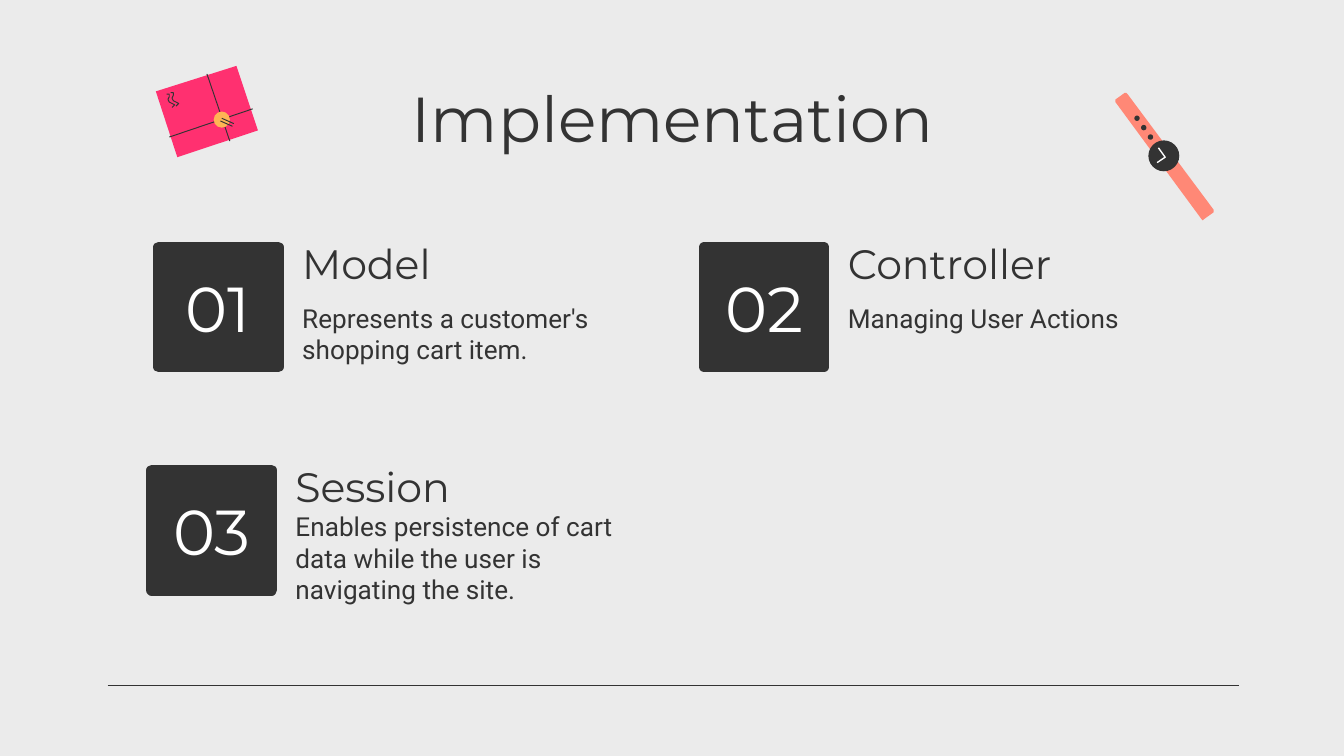
from dataclasses import dataclass

from pptx import Presentation
from pptx.dml.color import RGBColor
from pptx.enum.shapes import MSO_CONNECTOR, MSO_SHAPE
from pptx.enum.text import MSO_ANCHOR, MSO_AUTO_SIZE, PP_ALIGN
from pptx.oxml.ns import qn
from pptx.util import Inches, Pt

DARK, WHITE, BACKGROUND = "333333", "FFFFFF", "EBEBEB"
PINK, GOLD, CORAL = "FF3070", "FFB554", "FF8876"
HEADING_FONT, BODY_FONT = "Montserrat", "Roboto"
SQUARE_SIZE = 0.89
TEXT_OFFSET = 0.97
TEXT_WIDTH = 2.61

Point = tuple[float, float]


@dataclass
class Step:
    number: str
    heading: str
    description: str
    left: float
    top: float
    description_offset: float = 0.31


STEPS = [
    Step("01", "Model", "Represents a customer's shopping cart item.", 1.18, 1.84),
    Step("02", "Controller", "Managing User Actions", 5.24, 1.84),
    Step("03", "Session",
         "Enables persistence of cart data while the user is navigating the site.",
         1.13, 3.5, 0.2),
]


def color(hex_value: str) -> RGBColor:
    return RGBColor.from_string(hex_value)


def place(shape, left: float, top: float, width: float, height: float) -> None:
    shape.left, shape.top = Inches(left), Inches(top)
    shape.width, shape.height = Inches(width), Inches(height)


def write(shape, text: str, size: float, font_name: str, font_color: str = DARK,
          anchor=MSO_ANCHOR.TOP, alignment=PP_ALIGN.LEFT) -> None:
    text_frame = shape.text_frame
    text_frame.text = text
    text_frame.word_wrap = True
    text_frame.auto_size = MSO_AUTO_SIZE.NONE
    text_frame.vertical_anchor = anchor
    text_frame.margin_left = text_frame.margin_right = Inches(0.1)
    text_frame.margin_top = text_frame.margin_bottom = Inches(0.1)
    paragraph = text_frame.paragraphs[0]
    paragraph.alignment = alignment
    font = paragraph.runs[0].font
    font.size, font.name = Pt(size), font_name
    font.color.rgb = color(font_color)


def add_text(shapes, left: float, top: float, height: float, text: str,
             size: float, font_name: str, anchor=MSO_ANCHOR.TOP) -> None:
    box = shapes.add_textbox(Inches(left), Inches(top), Inches(TEXT_WIDTH), Inches(height))
    write(box, text, size, font_name, anchor=anchor)


def add_step(shapes, step: Step) -> None:
    size = Inches(SQUARE_SIZE)
    square = shapes.add_shape(MSO_SHAPE.RECTANGLE, Inches(step.left), Inches(step.top), size, size)
    square.shadow.inherit = False
    square.fill.solid()
    square.fill.fore_color.rgb = color(DARK)
    square.line.color.rgb = color(DARK)
    square.line.width = Pt(6)
    write(square, step.number, 34, HEADING_FONT, WHITE, MSO_ANCHOR.MIDDLE, PP_ALIGN.CENTER)
    text_left = step.left + TEXT_OFFSET
    add_text(shapes, text_left, step.top, 0.4, step.heading, 22, HEADING_FONT, MSO_ANCHOR.BOTTOM)
    add_text(shapes, text_left, step.top + step.description_offset, 0.58,
             step.description, 14, BODY_FONT)


def add_line(shapes, start: Point, end: Point, width: float = 0.75) -> None:
    connector = shapes.add_connector(
        MSO_CONNECTOR.STRAIGHT, *(Inches(value) for value in start + end))
    connector.line.color.rgb = color(DARK)
    connector.line.width = Pt(width)
    properties = connector._element.spPr
    properties.append(properties.makeelement(qn("a:effectLst"), {}))


def add_outline(shapes, points: list[Point], close: bool):
    corners = [(Inches(x), Inches(y)) for x, y in points]
    builder = shapes.build_freeform(*corners[0])
    builder.add_line_segments(corners[1:], close=close)
    shape = builder.convert_to_shape()
    shape.shadow.inherit = False
    return shape


def add_polygon(shapes, points: list[Point], fill: str) -> None:
    polygon = add_outline(shapes, points, True)
    polygon.fill.solid()
    polygon.fill.fore_color.rgb = color(fill)
    polygon.line.fill.background()


def add_stroke(shapes, points: list[Point], line_color: str, width: float) -> None:
    stroke = add_outline(shapes, points, False)
    stroke.fill.background()
    stroke.line.color.rgb = color(line_color)
    stroke.line.width = Pt(width)


def add_disc(shapes, center: Point, diameter: float, fill: str) -> None:
    left, top = (Inches(value - diameter / 2) for value in center)
    disc = shapes.add_shape(MSO_SHAPE.OVAL, left, top, Inches(diameter), Inches(diameter))
    disc.shadow.inherit = False
    disc.fill.solid()
    disc.fill.fore_color.rgb = color(fill)
    disc.line.fill.background()


def add_gift(shapes) -> None:
    add_polygon(shapes, [(1.76, 0.49), (1.92, 0.97), (1.32, 1.17), (1.16, 0.68)], PINK)
    add_line(shapes, (1.26, 1.02), (1.88, 0.81), 0.5)
    add_line(shapes, (1.54, 0.55), (1.71, 1.05), 0.5)
    add_disc(shapes, (1.65, 0.89), 0.12, GOLD)
    add_line(shapes, (1.65, 0.88), (1.74, 0.92), 0.5)
    add_line(shapes, (1.64, 0.9), (1.73, 0.94), 0.5)
    squiggle = [(1.24, 0.7), (1.26, 0.7), (1.26, 0.72), (1.25, 0.74), (1.26, 0.76),
                (1.28, 0.77), (1.3, 0.78), (1.28, 0.8)]
    for shift_x, shift_y in [(0, 0), (0.03, -0.01)]:
        add_stroke(shapes, [(x + shift_x, y + shift_y) for x, y in squiggle], DARK, 0.5)


def add_watch(shapes) -> None:
    strap = [(8.37, 0.69), (8.38, 0.69), (8.39, 0.7), (9.03, 1.56), (9.03, 1.58),
             (8.96, 1.63), (8.95, 1.64), (8.94, 1.63), (8.3, 0.76), (8.3, 0.74)]
    add_polygon(shapes, strap, CORAL)
    add_disc(shapes, (8.66, 1.16), 0.23, DARK)
    add_stroke(shapes, [(8.62, 1.1), (8.67, 1.17), (8.61, 1.21)], WHITE, 0.75)
    for hole in range(3):
        add_disc(shapes, (8.46 + 0.05 * hole, 0.88 + 0.07 * hole), 0.04, DARK)


def main() -> None:
    presentation = Presentation()
    presentation.slide_width = Inches(10)
    presentation.slide_height = presentation.slide_width * 9 // 16
    slide = presentation.slides.add_slide(presentation.slide_layouts[5])
    slide.background.fill.solid()
    slide.background.fill.fore_color.rgb = color(BACKGROUND)
    shapes = slide.shapes

    add_line(shapes, (0.8, 5.1), (9.22, 5.1))
    place(shapes.title, 0.79, 0.49, 8.43, 0.63)
    write(shapes.title, "Implementation", 34, HEADING_FONT, alignment=PP_ALIGN.CENTER)
    for step in STEPS:
        add_step(shapes, step)
    add_gift(shapes.add_group_shape().shapes)
    add_watch(shapes.add_group_shape().shapes)

    presentation.save("out.pptx")


if __name__ == "__main__":
    main()
